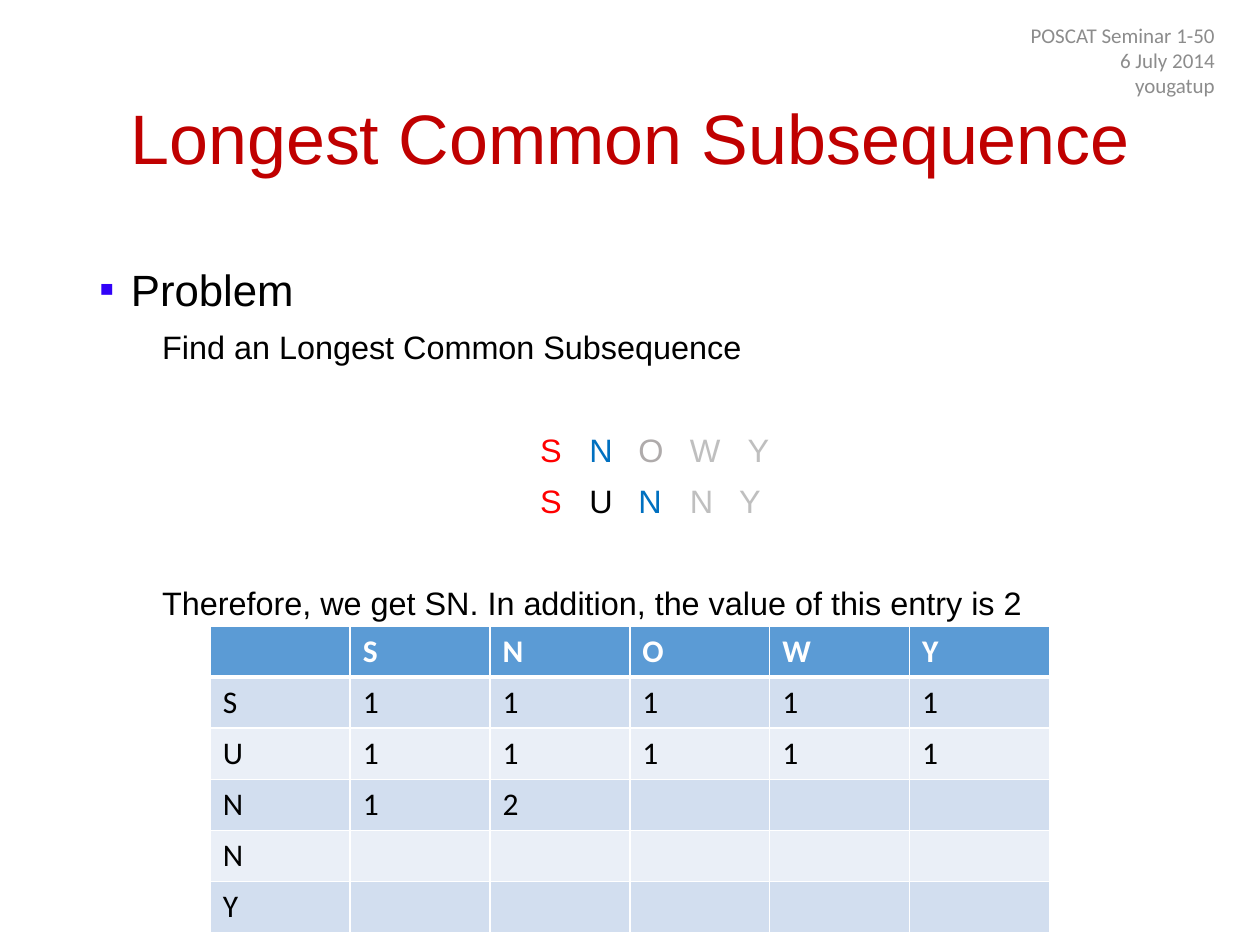
from dataclasses import dataclass

from lxml import etree
from pptx import Presentation
from pptx.dml.color import RGBColor
from pptx.enum.text import MSO_ANCHOR, PP_ALIGN
from pptx.oxml.ns import qn
from pptx.util import Cm, Pt

TOP, MIDDLE = MSO_ANCHOR.TOP, MSO_ANCHOR.MIDDLE
LEFT, CENTER, RIGHT = PP_ALIGN.LEFT, PP_ALIGN.CENTER, PP_ALIGN.RIGHT

BLACK = RGBColor(0x00, 0x00, 0x00)
WHITE = RGBColor(0xFF, 0xFF, 0xFF)
DARK_RED = RGBColor(0xC0, 0x00, 0x00)
RED = RGBColor(0xFF, 0x00, 0x00)
BLUE = RGBColor(0x00, 0x70, 0xC0)
GRAY = RGBColor(0x8C, 0x8C, 0x8C)
MID_GRAY = RGBColor(0xAF, 0xAB, 0xAB)
LIGHT_GRAY = RGBColor(0xBF, 0xBF, 0xBF)
BULLET_BLUE = RGBColor(0x31, 0x02, 0xF8)
HEADER_FILL = RGBColor(0x5B, 0x9B, 0xD5)
BAND_FILLS = (RGBColor(0xD2, 0xDE, 0xEF), RGBColor(0xEA, 0xEF, 0xF7))

BODY_SIZE = 18.5
LINE_GAP = 5
SECTION_GAP = 34
LETTER_STOPS = (8.89, 9.88, 10.87, 11.91)
COLUMN_WIDTH, ROW_HEIGHT = 2.82, 1.03
THIN_BORDER, THICK_BORDER = 1, 3
LCS_ROWS = (
    ("", "S", "N", "O", "W", "Y"),
    ("S", "1", "1", "1", "1", "1"),
    ("U", "1", "1", "1", "1", "1"),
    ("N", "1", "2", "", "", ""),
    ("N", "", "", "", "", ""),
    ("Y", "", "", "", "", ""),
)


@dataclass(frozen=True)
class Span:
    text: str
    color: RGBColor = BLACK


@dataclass(frozen=True)
class Line:
    spans: tuple[Span, ...]
    size: float = BODY_SIZE
    font: str = "Arial"
    align: PP_ALIGN = LEFT
    spacing: float = 1.1
    before: float = 0
    margin: float = 0
    bullet: str = ""
    stops: tuple[float, ...] = ()


@dataclass(frozen=True)
class TextArea:
    left: float
    top: float
    width: float
    height: float
    anchor: MSO_ANCHOR
    lines: tuple[Line, ...]


def letter_line(letters: str, colors: tuple[RGBColor, ...],
                last_stop: float, before: float) -> Line:
    spans = tuple(Span("\t" + letter, color) for letter, color in zip(letters, colors))
    return Line(spans, before=before, stops=LETTER_STOPS + (last_stop,))


TITLE = TextArea(1.75, 1.02, 21.9, 3.68, MIDDLE, (
    Line((Span("Longest Common Subsequence", DARK_RED),), 40, align=CENTER, spacing=0.9),
))
BODY = TextArea(1.75, 5.06, 22.99, 12.09, TOP, (
    Line((Span("Problem"),), 25, margin=0.64, bullet="▪"),
    Line((Span("Find an Longest Common Subsequence"),), before=LINE_GAP, margin=1.27),
    letter_line("SNOWY", (RED, BLUE, MID_GRAY, LIGHT_GRAY, LIGHT_GRAY), 13.07, SECTION_GAP),
    letter_line("SUNNY", (RED, BLACK, BLUE, LIGHT_GRAY, LIGHT_GRAY), 12.9, LINE_GAP),
    Line((Span("Therefore, we get SN. In addition, the value of this entry is 2"),),
         before=SECTION_GAP, margin=1.27),
))
SEMINAR = TextArea(19.02, 0.51, 5.72, 1.4, MIDDLE, tuple(
    Line((Span(text, GRAY),), 12, "Calibri", RIGHT, 1.0)
    for text in ("POSCAT Seminar 1-50", "6 July 2014", "yougatup")
))


def add_bullet(properties, bullet: str, margin: float) -> None:
    properties.set("indent", str(-Cm(margin)))
    color = etree.SubElement(properties, qn("a:buClr"))
    etree.SubElement(color, qn("a:srgbClr"), val=str(BULLET_BLUE))
    etree.SubElement(properties, qn("a:buFont"), typeface="Arial")
    etree.SubElement(properties, qn("a:buChar"), char=bullet)


def add_tab_stops(properties, stops: tuple[float, ...]) -> None:
    tabs = etree.SubElement(properties, qn("a:tabLst"))
    for stop in stops:
        etree.SubElement(tabs, qn("a:tab"), pos=str(Cm(stop)), algn="l")


def write_span(para, span: Span, size: float, font: str, bold: bool = False) -> None:
    run = para.add_run()
    run.text = span.text
    run.font.size = Pt(size)
    run.font.name = font
    run.font.bold = bold
    run.font.color.rgb = span.color


def write_line(para, line: Line) -> None:
    para.alignment = line.align
    para.line_spacing = line.spacing
    para.space_before = Pt(line.before)
    properties = para._p.get_or_add_pPr()
    properties.set("marL", str(Cm(line.margin)))
    if line.bullet:
        add_bullet(properties, line.bullet, line.margin)
    if line.stops:
        add_tab_stops(properties, line.stops)
    for span in line.spans:
        write_span(para, span, line.size, line.font)


def draw_text(page, area: TextArea) -> None:
    box = page.shapes.add_textbox(Cm(area.left), Cm(area.top), Cm(area.width), Cm(area.height))
    frame = box.text_frame
    frame.word_wrap = True
    frame.vertical_anchor = area.anchor
    for index, line in enumerate(area.lines):
        write_line(frame.add_paragraph() if index else frame.paragraphs[0], line)


def add_borders(cell, row_index: int) -> None:
    properties = cell._tc.get_or_add_tcPr()
    top = THICK_BORDER if row_index == 1 else THIN_BORDER
    bottom = THICK_BORDER if row_index == 0 else THIN_BORDER
    sides = (("L", THIN_BORDER), ("R", THIN_BORDER), ("T", top), ("B", bottom))
    for side, width in sides:
        border = etree.SubElement(properties, qn("a:ln" + side), w=str(Pt(width)))
        fill = etree.SubElement(border, qn("a:solidFill"))
        etree.SubElement(fill, qn("a:srgbClr"), val=str(WHITE))


def draw_table(page, left: float, top: float, rows: tuple[tuple[str, ...], ...]) -> None:
    row_count, column_count = len(rows), len(rows[0])
    table = page.shapes.add_table(
        row_count, column_count, Cm(left), Cm(top),
        Cm(COLUMN_WIDTH * column_count), Cm(ROW_HEIGHT * row_count)).table
    for row_index, row in enumerate(rows):
        header = row_index == 0
        for column_index, text in enumerate(row):
            cell = table.cell(row_index, column_index)
            add_borders(cell, row_index)
            cell.fill.solid()
            cell.fill.fore_color.rgb = HEADER_FILL if header else BAND_FILLS[(row_index - 1) % 2]
            if text:
                span = Span(text, WHITE if header else BLACK)
                write_span(cell.text_frame.paragraphs[0], span, 18, "Calibri", header)


def main() -> None:
    deck = Presentation()
    deck.slide_width, deck.slide_height = Cm(25.4), Cm(19.05)
    page = deck.slides.add_slide(deck.slide_layouts[6])
    for area in (TITLE, BODY, SEMINAR):
        draw_text(page, area)
    draw_table(page, 4.24, 12.62, LCS_ROWS)
    deck.save("out.pptx")


if __name__ == "__main__":
    main()
